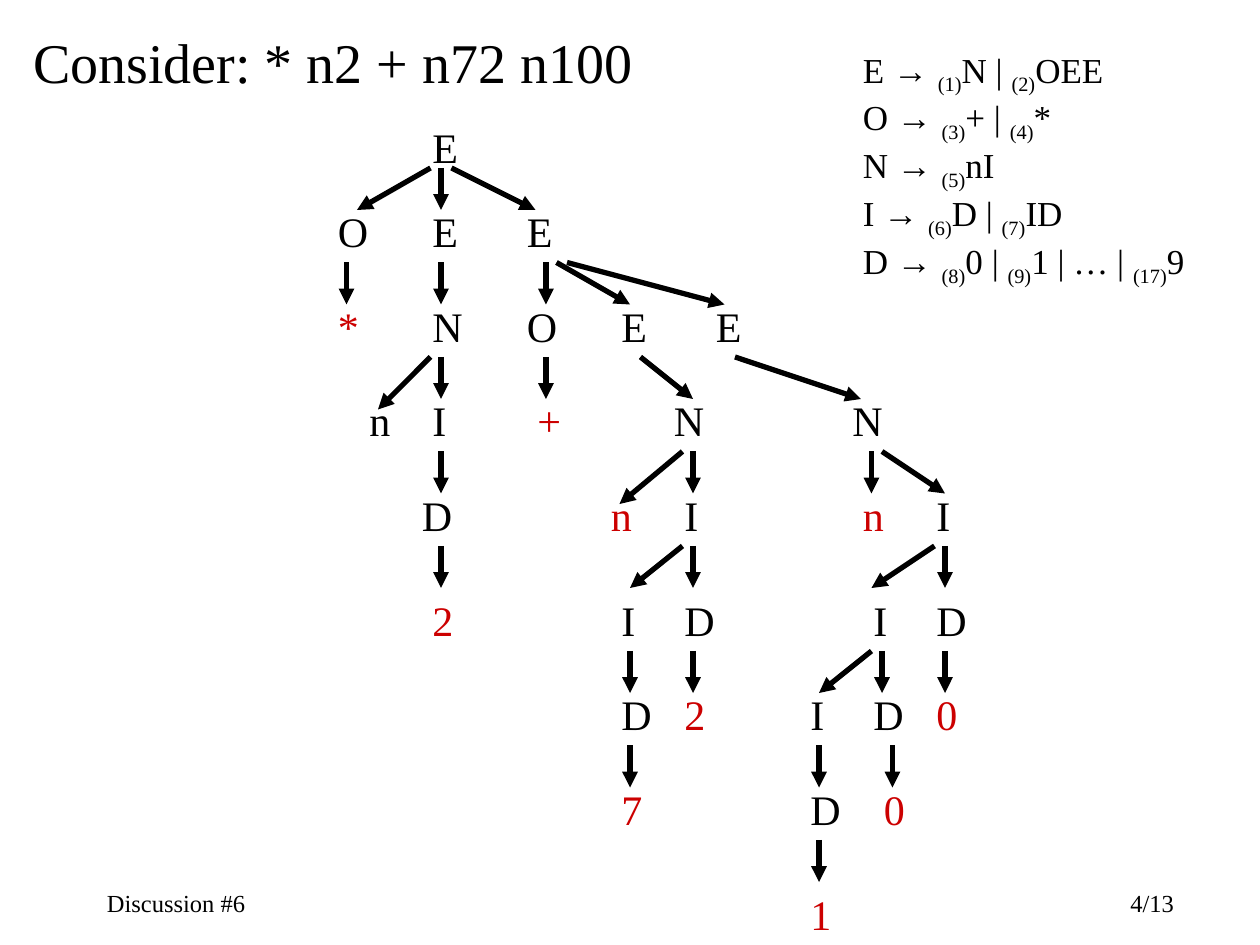
from lxml import etree
from pptx import Presentation
from pptx.dml.color import RGBColor
from pptx.enum.shapes import MSO_CONNECTOR
from pptx.enum.text import MSO_AUTO_SIZE, PP_ALIGN
from pptx.oxml.ns import qn
from pptx.util import Pt

STRAIGHT = MSO_CONNECTOR.STRAIGHT
FIT_SHAPE = MSO_AUTO_SIZE.SHAPE_TO_FIT_TEXT
LEFT, RIGHT = PP_ALIGN.LEFT, PP_ALIGN.RIGHT

THEME = {
    "font": "Times New Roman", "arrow_font": "Arial",
    "ink": RGBColor(0x00, 0x00, 0x00), "token": RGBColor(0xCC, 0x00, 0x00),
    "title": 32, "node": 24, "grammar": 20, "footer": 14, "line": 3,
}

TITLE = "Consider: * n2 + n72 n100"
FOOTERS = [("Discussion #6", 54, LEFT), ("4/13", 528, RIGHT)]

# Left-hand symbol, then numbered alternatives
GRAMMAR = [
    ("E", [(1, "N"), (2, "OEE")]),
    ("O", [(3, "+"), (4, "*")]),
    ("N", [(5, "nI")]),
    ("I", [(6, "D"), (7, "ID")]),
    ("D", [(8, "0"), (9, "1 | …"), (17, "9")]),
]

# One entry per tree level: top, top of the arrows below it,
# symbols and red tokens with their left edges, arrows as (start x, end x[, drop])
LEVELS = [
    (66, 96, [("E", 240)], [],
     [(252, 252), (246, 204), (258, 306)]),
    (114, 150, [("O", 186), ("E", 240), ("E", 294)], [],
     [(198, 198), (252, 252), (312, 312), (318, 360), (324, 414)]),
    (168, 204, [("N", 240), ("O", 294), ("E", 348), ("E", 402)], [("*", 186)],
     [(252, 252), (246, 216, 30), (312, 312), (366, 396), (420, 492)]),
    (222, 258, [("n", 204), ("I", 240), ("N", 378), ("N", 480)], [("+", 300)],
     [(252, 252), (396, 396), (390, 354, 30), (498, 498), (504, 540)]),
    (276, 312, [("D", 234), ("I", 384), ("I", 528)], [("n", 342), ("n", 486)],
     [(252, 252), (396, 396), (390, 360), (534, 498), (540, 540)]),
    (336, 372, [("I", 348), ("D", 384), ("I", 492), ("D", 528)], [("2", 240)],
     [(360, 360), (396, 396), (504, 504), (498, 468), (540, 540)]),
    (390, 426, [("D", 348), ("I", 456), ("D", 492)], [("2", 384), ("0", 528)],
     [(360, 360), (468, 468), (510, 510)]),
    (444, 480, [("D", 456)], [("7", 348), ("0", 498)], [(468, 468)]),
    (504, 540, [], [("1", 456)], []),
]
WIDE_SYMBOLS = "EOND"
ARROW_DROP = 24


def style(paragraph, size, color=THEME["ink"]):
    paragraph.font.name = THEME["font"]
    paragraph.font.size = Pt(size)
    paragraph.font.color.rgb = color


def add_box(slide, left, top, width, height):
    frame = slide.shapes.add_textbox(Pt(left), Pt(top), Pt(width), Pt(height)).text_frame
    frame.word_wrap = True
    return frame


def add_label(slide, text, box, size, color=THEME["ink"], align=LEFT, fit=True):
    frame = add_box(slide, *box)
    if fit:
        frame.auto_size = FIT_SHAPE
    paragraph = frame.paragraphs[0]
    paragraph.text = text
    paragraph.alignment = align
    style(paragraph, size, color)


def add_arrow(slide, start_x, start_y, end_x, end_y):
    arrow = slide.shapes.add_connector(
        STRAIGHT, Pt(start_x), Pt(start_y), Pt(end_x), Pt(end_y))
    arrow.line.color.rgb = THEME["ink"]
    arrow.line.width = Pt(THEME["line"])
    properties = arrow.element.spPr
    etree.SubElement(properties.find(qn("a:ln")), qn("a:tailEnd"), type="triangle")
    etree.SubElement(properties, qn("a:effectLst"))


def add_run(paragraph, text, font=THEME["font"], baseline=None):
    """Add a run; a negative baseline, in thousandths of a percent, lowers it."""
    run = paragraph.add_run()
    run.text = text
    run.font.name = font
    if baseline:
        run.font._element.set("baseline", str(baseline))


def add_grammar(slide):
    frame = add_box(slide, 486, 24, 210, 144)
    frame.auto_size = FIT_SHAPE
    for row, (symbol, alternatives) in enumerate(GRAMMAR):
        paragraph = frame.add_paragraph() if row else frame.paragraphs[0]
        style(paragraph, THEME["grammar"])
        add_run(paragraph, f"{symbol} ")
        add_run(paragraph, "→ ", THEME["arrow_font"])
        for position, (number, body) in enumerate(alternatives, start=1):
            separator = " | " if position < len(alternatives) else ""
            add_run(paragraph, f"({number})", baseline=-25000)
            add_run(paragraph, body + separator)


def add_tree(slide):
    for top, arrow_top, symbols, tokens, arrows in LEVELS:
        for nodes, color in ((symbols, THEME["ink"]), (tokens, THEME["token"])):
            for text, left in nodes:
                width = 30 if text in WIDE_SYMBOLS else 24
                add_label(slide, text, (left, top, width, 36), THEME["node"], color)
        for start_x, end_x, *drop in arrows:
            end_y = arrow_top + (drop[0] if drop else ARROW_DROP)
            add_arrow(slide, start_x, arrow_top, end_x, end_y)


def main():
    presentation = Presentation()
    presentation.slide_width, presentation.slide_height = Pt(720), Pt(540)
    slide = presentation.slides.add_slide(presentation.slide_layouts[6])
    for text, left, align in FOOTERS:
        add_label(slide, text, (left, 504, 150, 24), THEME["footer"],
                  align=align, fit=False)
    add_grammar(slide)
    add_tree(slide)
    add_label(slide, TITLE, (12, 12, 390, 46), THEME["title"])
    presentation.save("out.pptx")


if __name__ == "__main__":
    main()
